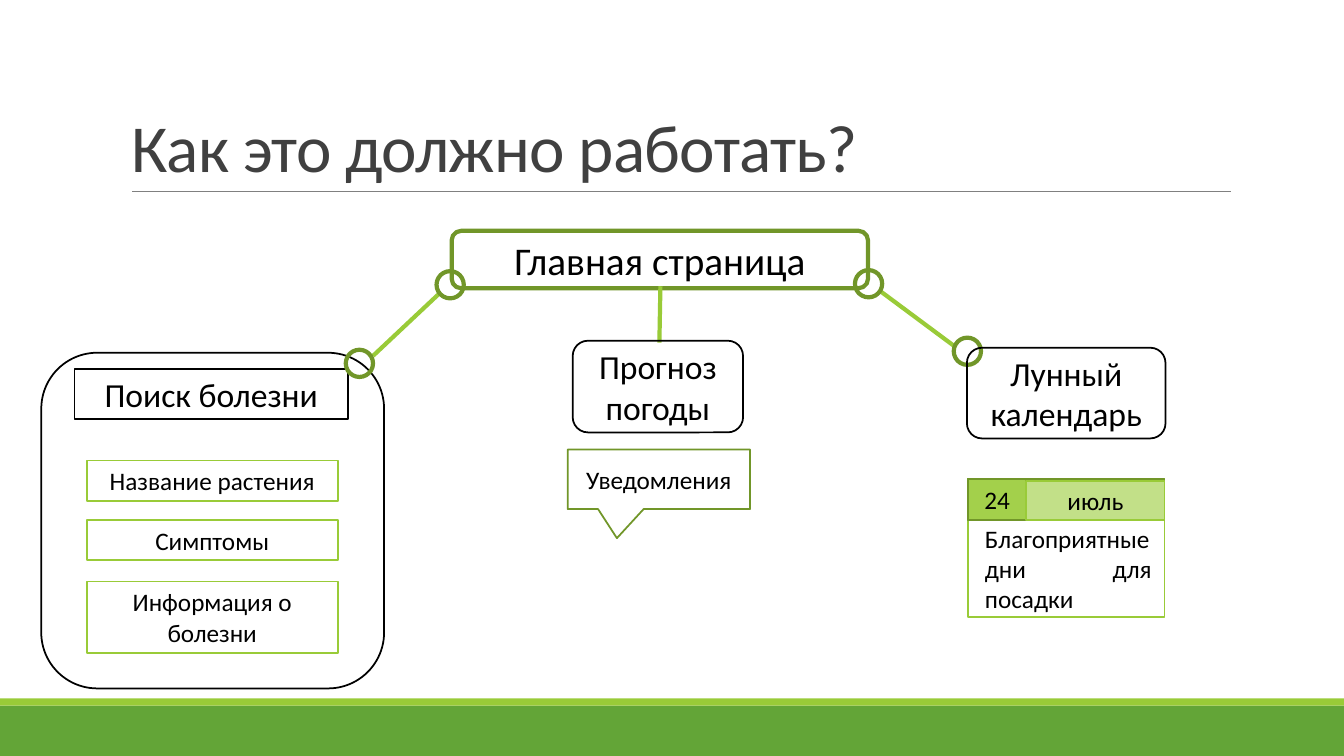
from lxml import etree
from pptx import Presentation
from pptx import util as u
from pptx.dml import color
from pptx.enum import shapes, text
from pptx.oxml import ns

LIME, OLIVE, GREEN = "99CB38", "719629", "63A537"
BLACK, WHITE, GREY, DARK = "000000", "FFFFFF", "808080", "404040"
KIND = shapes.MSO_SHAPE
ALIGN = text.PP_ALIGN
ANCHOR = text.MSO_ANCHOR


def rgb(value):
    return color.RGBColor.from_string(value)


def apply(target, values):
    for name, value in values.items():
        setattr(target, name, value)


class Deck:
    font = {"name": "Calibri", "bold": False}
    frame = {"word_wrap": True, "auto_size": text.MSO_AUTO_SIZE.NONE}

    def __init__(self, prs):
        self.s = prs.slides.add_slide(prs.slide_layouts[5])

    def put_text(self, tf, words, size, align=ALIGN.CENTER, anchor=ANCHOR.MIDDLE, hue=BLACK):
        apply(tf, {**self.frame, "vertical_anchor": anchor})
        p = tf.paragraphs[0]
        p.alignment = align
        r = p.add_run()
        r.text = words
        apply(r.font, {**self.font, "size": u.Pt(size)})
        r.font.color.rgb = rgb(hue)
        return p, r

    def title(self, words, box):
        sp = self.s.shapes.title
        apply(sp, dict(zip(("left", "top", "width", "height"), map(u.Inches, box))))
        p, r = self.put_text(sp.text_frame, words, 48, ALIGN.LEFT, ANCHOR.BOTTOM, DARK)
        p.line_spacing = 0.85
        r._r.get_or_add_rPr().set("spc", "-50")

    def shape(self, kind, box, line=None, width=1.25, fill=None, alpha=None,
              words="", size=18, anchor=ANCHOR.MIDDLE):
        sp = self.s.shapes.add_shape(kind, *map(u.Inches, box))
        sp.shadow.inherit = False
        if fill:
            sp.fill.solid()
            sp.fill.fore_color.rgb = rgb(fill)
        else:
            sp.fill.background()
        if alpha:
            clr = sp._element.spPr.find(".//" + ns.qn("a:srgbClr"))
            etree.SubElement(clr, ns.qn("a:alpha")).set("val", str(alpha * 1000))
        if line:
            sp.line.color.rgb = rgb(line)
            sp.line.width = u.Pt(width)
        else:
            sp.line.fill.background()
        if words:
            self.put_text(sp.text_frame, words, size, anchor=anchor)
        return sp

    def label(self, box, words, size, align):
        sp = self.s.shapes.add_textbox(*map(u.Inches, box))
        self.put_text(sp.text_frame, words, size, align)

    def line(self, start, end, hue=LIME, width=3):
        cx = self.s.shapes.add_connector(
            shapes.MSO_CONNECTOR.STRAIGHT, *map(u.Inches, (*start, *end)))
        cx.line.color.rgb = rgb(hue)
        cx.line.width = u.Pt(width)
        etree.SubElement(cx._element.spPr, ns.qn("a:effectLst"))

    def link(self, start, end, *rings):
        self.line(start, end)
        for left, top in rings:
            self.shape(KIND.OVAL, (left, top, 0.27, 0.27), OLIVE, 3)


def main():
    prs = Presentation()
    apply(prs, {"slide_width": u.Inches(13.33), "slide_height": u.Inches(7.5)})
    d = Deck(prs)

    d.shape(KIND.RECTANGLE, (0, 7, 13.33, 0.5), fill=GREEN)
    d.shape(KIND.RECTANGLE, (0, 6.93, 13.33, 0.07), fill=LIME)
    d.line((1.31, 1.9), (12.21, 1.9), GREY, 0.5)
    d.title("Как это должно работать?", (1.2, 0.31, 11, 1.59))

    d.shape(KIND.RECTANGLE, (0.74, 3.66, 2.71, 0.5), BLACK, fill=WHITE,
            words="Поиск болезни", size=24, anchor=ANCHOR.TOP)
    d.shape(KIND.ROUNDED_RECTANGLE, (0.41, 3.5, 3.4, 3.33), BLACK)
    for top, height, words in ((4.57, 0.4, "Название растения"),
                               (5.16, 0.4, "Симптомы"),
                               (5.77, 0.71, "Информация о болезни")):
        d.shape(KIND.RECTANGLE, (0.86, top, 2.49, height), LIME, fill=WHITE,
                words=words, anchor=ANCHOR.TOP)

    d.shape(KIND.ROUNDED_RECTANGLE, (4.48, 2.29, 4.13, 0.57), OLIVE, 3,
            words="Главная страница", size=28)
    d.link((4.37, 2.9), (3.7, 3.53), (4.33, 2.69), (3.43, 3.47))
    d.link((8.72, 2.88), (9.46, 3.43), (8.48, 2.68), (9.46, 3.35))
    d.link((6.55, 2.84), (6.54, 3.4))
    for box, words in (((9.59, 3.45, 1.97, 0.9), "Лунный календарь"),
                       ((5.68, 3.38, 1.69, 0.91), "Прогноз погоды")):
        d.shape(KIND.ROUNDED_RECTANGLE, box, BLACK, words=words, size=24)

    d.shape(KIND.RECTANGLE, (9.6, 4.75, 1.95, 1.37), LIME, fill=WHITE)
    d.shape(KIND.RECTANGLE, (9.6, 4.75, 1.95, 0.41), OLIVE, fill=LIME, alpha=50)
    d.shape(KIND.RECTANGLE, (9.6, 4.75, 0.58, 0.41), OLIVE, fill=LIME, alpha=80, words="24")
    d.shape(KIND.RECTANGLE, (10.18, 4.77, 1.37, 0.39), LIME, fill="C2E088", words="июль")
    d.label((9.67, 5.22, 1.85, 0.84), "Благоприятные дни для посадки", 18, ALIGN.JUSTIFY)

    callout = d.shape(KIND.RECTANGULAR_CALLOUT, (5.63, 4.46, 1.81, 0.59), OLIVE,
                      words="Уведомления")
    callout.adjustments[0] = -0.23
    callout.adjustments[1] = 0.99

    prs.save("out.pptx")


if __name__ == "__main__":
    main()
